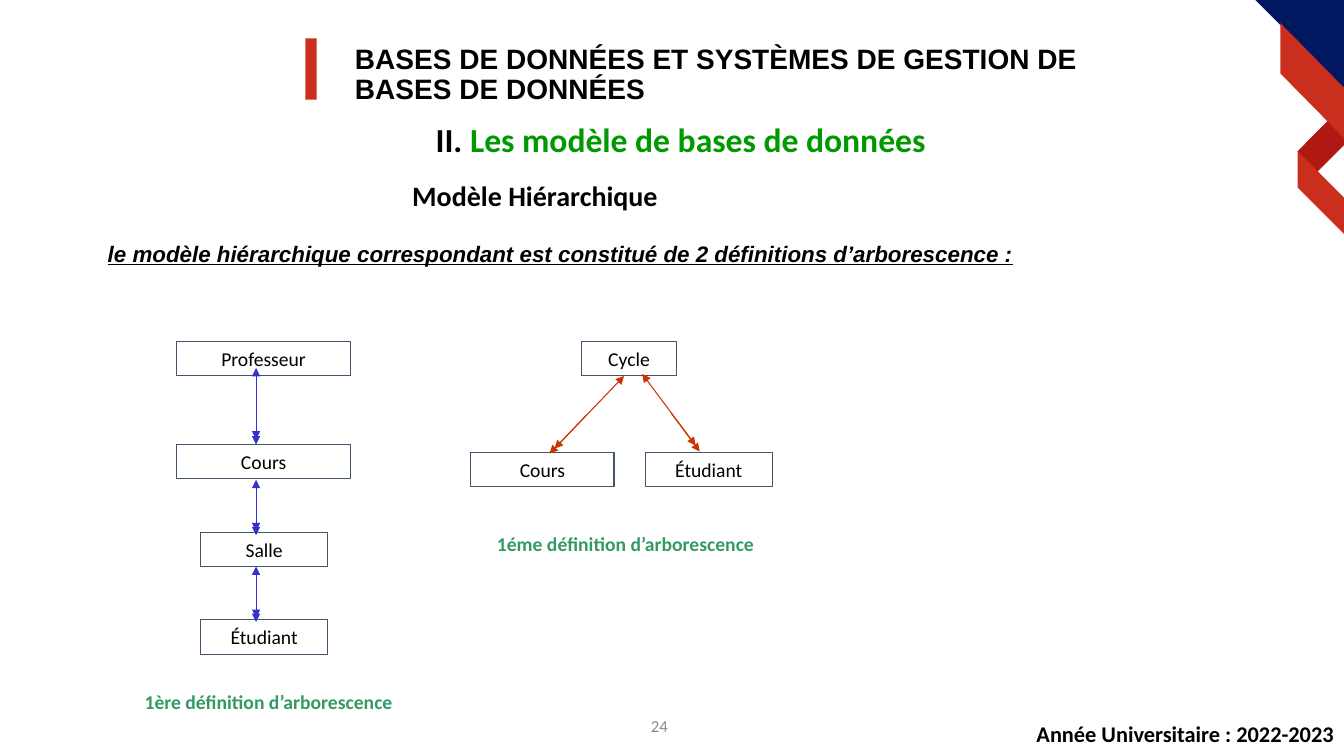
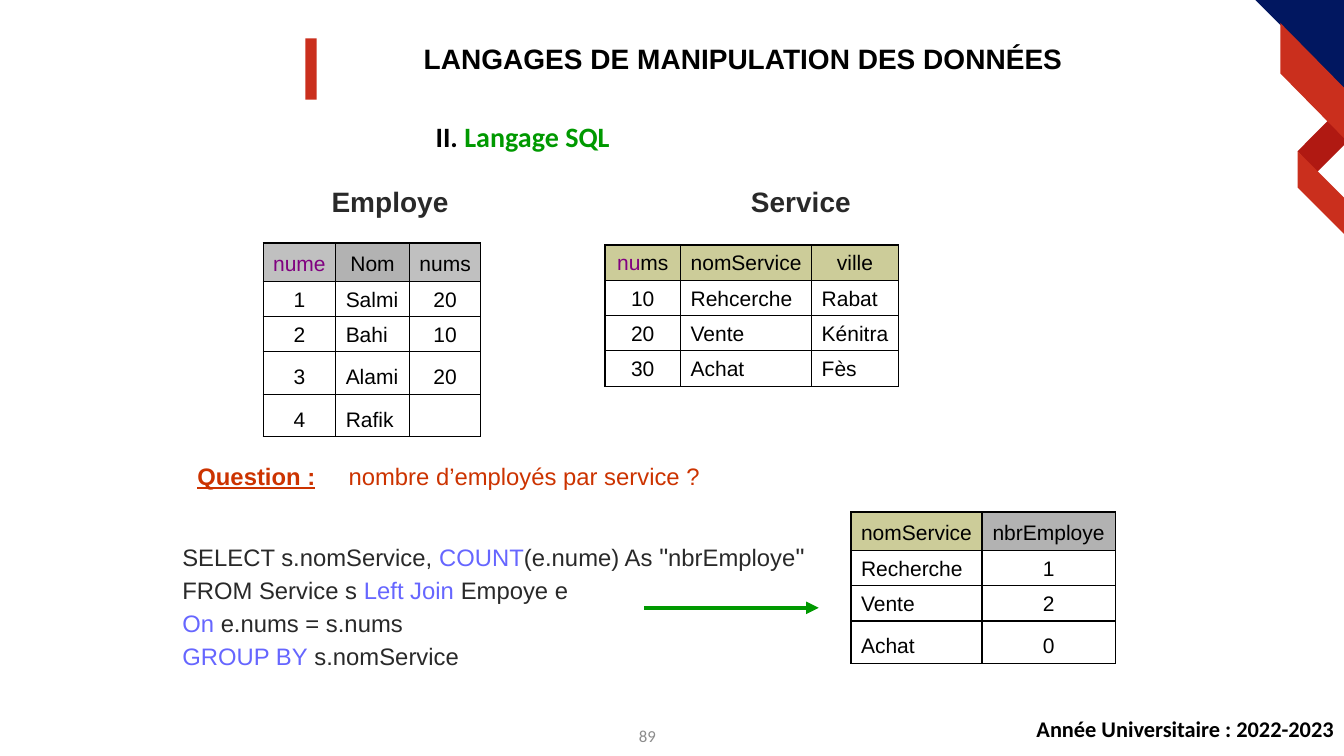
from pptx import Presentation
from pptx.dml.color import RGBColor
from pptx.enum.shapes import MSO_CONNECTOR, MSO_SHAPE
from pptx.enum.text import MSO_ANCHOR, MSO_AUTO_SIZE, PP_ALIGN
from pptx.oxml.ns import qn
from pptx.util import Inches, Pt
from lxml.etree import SubElement

BLACK = RGBColor(0x00, 0x00, 0x00)
INK = RGBColor(0x29, 0x29, 0x29)
GRAY = RGBColor(0x8C, 0x8C, 0x8C)
NAVY = RGBColor(0x01, 0x17, 0x60)
RED = RGBColor(0xCA, 0x2F, 0x1D)
DARK_RED = RGBColor(0xB0, 0x19, 0x12)
GREEN = RGBColor(0x00, 0x99, 0x00)
CAPTION_GREEN = RGBColor(0x33, 0x99, 0x66)
SLATE = RGBColor(0x44, 0x54, 0x6A)
BLUE = RGBColor(0x33, 0x33, 0xCC)
ORANGE = RGBColor(0xCC, 0x33, 0x00)
KEYWORD = RGBColor(0x66, 0x66, 0xFF)
PURPLE = RGBColor(0x80, 0x00, 0x80)
SILVER = RGBColor(0xC0, 0xC0, 0xC0)
STEEL = RGBColor(0xB2, 0xB2, 0xB2)
KHAKI = RGBColor(0xCC, 0xCC, 0x99)

LEFT, CENTER, RIGHT = PP_ALIGN.LEFT, PP_ALIGN.CENTER, PP_ALIGN.RIGHT
TOP, MIDDLE, BOTTOM = MSO_ANCHOR.TOP, MSO_ANCHOR.MIDDLE, MSO_ANCHOR.BOTTOM

RIBBONS = [
    (DARK_RED, [(13.19, 1.18), (13.33, 1.35), (13.33, 1.44), (13.05, 1.72), (12.87, 1.5)]),
    (NAVY, [(12.45, 0), (13.33, 0), (13.33, 0.88)]),
    (RED, [(12.87, 1.5), (13.33, 1.96), (13.33, 2.32), (12.87, 1.86)]),
    (RED, [(12.7, 0.23), (13.33, 0.87), (13.33, 1.37), (12.7, 0.73)]),
]
FOOTER = "Année Universitaire : 2022-2023"

MODEL = {
    "title": "BASES DE DONNÉES ET SYSTÈMES DE GESTION DE BASES DE DONNÉES",
    "title_align": LEFT,
    "section": "Les modèle de bases de données",
    "section_size": 24,
    "footer_top": 7.13,
    "page": "24",
    "page_at": (5.04, 7, 3, 0.4),
}
NODE_HEIGHT = 0.34
NODES = [
    ("Professeur", 1.75, 3.39, 1.73),
    ("Cours", 1.75, 4.41, 1.73),
    ("Salle", 1.99, 5.28, 1.26),
    ("Étudiant", 1.99, 6.15, 1.26),
    ("Cycle", 5.77, 3.39, 0.94),
    ("Cours", 4.67, 4.49, 1.42),
    ("Étudiant", 6.4, 4.49, 1.26),
]
LINKS = [
    (BLUE, (2.54, 3.65), (2.54, 4.36), (2.54, 4.41)),
    (BLUE, (2.54, 4.76), (2.54, 5.27), (2.54, 5.31)),
    (BLUE, (2.54, 5.62), (2.54, 6.13), (2.54, 6.17)),
    (ORANGE, (6.37, 3.71), (6.9, 4.42), (6.94, 4.48)),
    (ORANGE, (6.19, 3.73), (5.5, 4.45), (5.45, 4.5)),
]
CAPTIONS = [
    ("1ère définition d’arborescence", 1.05, 6.8),
    ("1éme définition d’arborescence", 4.59, 5.23),
]

SQL = {
    "title": "LANGAGES DE MANIPULATION DES DONNÉES",
    "title_align": CENTER,
    "section": "Langage SQL",
    "section_size": 20,
    "footer_top": 7.08,
    "page": "89",
    "page_at": (4.92, 7.1, 3, 0.4),
}
TABLE_NAMES = [("Employe", 3.19), ("Service", 7.35)]
TABLES = [
    {
        "at": (2.61, 2.41), "cols": [0.72, 0.73, 0.71],
        "heights": [0.38, 0.35, 0.35, 0.42, 0.42],
        "fills": [SILVER, STEEL, SILVER], "aligns": [CENTER, LEFT, CENTER],
        "rows": [
            [[("nume", {"color": PURPLE})], "Nom", "nums"],
            ["1", "Salmi", "20"],
            ["2", "Bahi", "10"],
            ["3", "Alami", "20"],
            ["4", "Rafik", ""],
        ],
    },
    {
        "at": (6, 2.43), "cols": [0.75, 1.3, 0.86],
        "heights": [0.35] * 4,
        "fills": [KHAKI] * 3, "aligns": [CENTER, LEFT, LEFT],
        "rows": [
            [[("nu", {"color": PURPLE}), ("ms", {})], "nomService", "ville"],
            ["10", "Rehcerche", "Rabat"],
            ["20", "Vente", "Kénitra"],
            ["30", "Achat", "Fès"],
        ],
    },
    {
        "at": (8.44, 5.08), "cols": [1.3, 1.32],
        "heights": [0.38, 0.35, 0.35, 0.42],
        "fills": [KHAKI, STEEL], "aligns": [LEFT, CENTER],
        "rows": [
            ["nomService", "nbrEmploye"],
            ["Recherche", "1"],
            ["Vente", "2"],
            ["Achat", "0"],
        ],
    },
]
QUESTION = [("Question :", {"bold": True, "underline": True}),
            ("\tnombre d’employés par service ?", {})]
KEY, QUOTE = {"color": KEYWORD}, {"size": 18}
QUERY = [
    [("SELECT s.nomService, ", {}), ("COUNT", KEY), ("(e.nume) As ", {}),
     ('"', QUOTE), ("nbrEmploye", {}), ('"', QUOTE)],
    [("FROM Service s ", {}), ("Left Join ", KEY), ("Empoye e", {})],
    [("On", KEY), (" e.nums = s.nums", {})],
    [("GROUP BY", KEY), (" s.nomService", {})],
]


def write(tf, paragraphs, align=LEFT, anchor=TOP, line=None, before=0, tab=None, **look):
    tf.word_wrap = True
    tf.vertical_anchor = anchor
    for i, runs in enumerate(paragraphs):
        p = tf.paragraphs[0] if i == 0 else tf.add_paragraph()
        pPr = p._p.get_or_add_pPr()
        pPr.set("marL", "0")
        pPr.set("indent", "0")
        SubElement(pPr, qn("a:buNone"))
        if tab:
            tabs = SubElement(pPr, qn("a:tabLst"))
            SubElement(tabs, qn("a:tab"), pos=str(Inches(tab)), algn="l")
        p.alignment = align
        p.space_before = Pt(before if i else 0)
        if line:
            p.line_spacing = line
        for text, change in [(runs, {})] if isinstance(runs, str) else runs:
            style = {"font": "Calibri", "size": 16, "color": BLACK, **look, **change}
            r = p.add_run()
            r.text = text
            r.font.name = style["font"]
            r.font.size = Pt(style["size"])
            r.font.color.rgb = style["color"]
            r.font.bold = style.get("bold", False)
            r.font.italic = style.get("italic", False)
            r.font.underline = style.get("underline", False)


def add_text(s, at, paragraphs, **look):
    box = s.shapes.add_textbox(*map(Inches, at))
    write(box.text_frame, paragraphs, **look)


def fill_placeholder(sp, at, paragraphs, **look):
    sp.left, sp.top, sp.width, sp.height = map(Inches, at)
    write(sp.text_frame, paragraphs, **look)
    sp.text_frame.auto_size = MSO_AUTO_SIZE.NONE


def paint(sp, color):
    sp.shadow.inherit = False
    sp.fill.solid()
    sp.fill.fore_color.rgb = color
    sp.line.fill.background()


def add_arrow(s, start, end, color, width, double=False):
    arrow = s.shapes.add_connector(MSO_CONNECTOR.STRAIGHT, *map(Inches, (*start, *end)))
    arrow.line.color.rgb = color
    arrow.line.width = Pt(width)
    ln = arrow.line._get_or_add_ln()
    for tag in ["a:headEnd", "a:tailEnd"] if double else ["a:tailEnd"]:
        SubElement(ln, qn(tag), type="triangle")
    SubElement(arrow._element.spPr, qn("a:effectLst"))


def border_cell(cell):
    tcPr = cell._tc.get_or_add_tcPr()
    for i, side in enumerate(["a:lnL", "a:lnR", "a:lnT", "a:lnB"]):
        ln = tcPr.makeelement(qn(side), {"w": str(Pt(1))})
        SubElement(SubElement(ln, qn("a:solidFill")), qn("a:srgbClr"), val=str(BLACK))
        tcPr.insert(i, ln)


def add_grid(s, spec):
    rows, cols, heights = spec["rows"], spec["cols"], spec["heights"]
    size = (sum(cols), sum(heights))
    table = s.shapes.add_table(len(rows), len(cols), *map(Inches, (*spec["at"], *size))).table
    table.first_row = table.horz_banding = False
    for column, width in zip(table.columns, cols):
        column.width = Inches(width)
    for i, row in enumerate(rows):
        table.rows[i].height = Inches(heights[i])
        for j, content in enumerate(row):
            cell = table.cell(i, j)
            align = spec["aligns"][j] if i else CENTER
            cell.vertical_anchor = BOTTOM
            cell.margin_left = Inches(0.1 if align == LEFT else 0.03)
            cell.margin_right = Inches(0.03)
            if i == 0:
                cell.fill.solid()
                cell.fill.fore_color.rgb = spec["fills"][j]
            else:
                cell.fill.background()
            border_cell(cell)
            if content:
                write(cell.text_frame, [content], anchor=BOTTOM, font="Arial", size=15,
                      align=align)


def add_base(prs, info):
    s = prs.slides.add_slide(prs.slide_layouts[1])
    for color, points in RIBBONS:
        first, *rest = [tuple(map(Inches, point)) for point in points]
        builder = s.shapes.build_freeform(*first)
        builder.add_line_segments(rest, close=True)
        paint(builder.convert_to_shape(), color)
    bar = s.shapes.add_shape(MSO_SHAPE.RECTANGLE, *map(Inches, (3.03, 0.38, 0.11, 0.61)))
    paint(bar, RED)
    fill_placeholder(s.shapes.title, (3.42, 0.4, 7.9, 0.65), [info["title"]], font="Arial",
                     size=20, bold=True, line=0.9, align=info["title_align"])
    fill_placeholder(s.placeholders[1], (4.22, 1.17, 6, 0.5),
                     [[("II. ", {}), (info["section"], {"color": GREEN})]],
                     size=info["section_size"], bold=True, line=0.9)
    add_text(s, (9.33, info["footer_top"], 4, 0.35), [FOOTER], bold=True, line=0.9, align=RIGHT)
    add_text(s, info["page_at"], [info["page"]], size=12, color=GRAY, align=CENTER, anchor=MIDDLE)
    return s


def build_model(prs):
    s = add_base(prs, MODEL)
    add_text(s, (3.99, 1.72, 2.66, 0.44), ["Modèle Hiérarchique"], size=20, bold=True)
    add_text(s, (0.97, 2.33, 9.29, 0.4),
             ["le modèle hiérarchique correspondant est constitué de 2 définitions d’arborescence :"],
             font="Arial", bold=True, italic=True, underline=True)
    for name, left, top, width in NODES:
        node = s.shapes.add_shape(MSO_SHAPE.RECTANGLE,
                                  *map(Inches, (left, top, width, NODE_HEIGHT)))
        node.shadow.inherit = False
        node.fill.background()
        node.line.color.rgb = SLATE
        node.line.width = Pt(0.75)
        write(node.text_frame, [name], size=14, align=CENTER, anchor=MIDDLE)
    for color, start, end, tip in LINKS:
        middle = tuple((a + b) / 2 for a, b in zip(start, tip))
        add_arrow(s, start, end, color, 0.75, double=True)
        add_arrow(s, middle, tip, color, 0.75)
    for caption, left, top in CAPTIONS:
        add_text(s, (left, top, 3.23, 0.33), [caption], size=14, bold=True,
                 color=CAPTION_GREEN, align=CENTER)


def build_sql(prs):
    s = add_base(prs, SQL)
    for name, left in TABLE_NAMES:
        add_text(s, (left, 1.78, 2, 0.45), [name], font="Arial", size=20, bold=True, color=INK)
    for spec in TABLES:
        add_grid(s, spec)
    add_text(s, (1.86, 4.53, 9.53, 0.55), [QUESTION], font="Arial", size=17, color=ORANGE, tab=1.23)
    add_text(s, (1.71, 5.32, 6.49, 1.65), QUERY, font="Arial", size=17, color=INK, before=3.2)
    add_arrow(s, (6.39, 6.03), (8.12, 6.03), GREEN, 3)


def main():
    prs = Presentation()
    prs.slide_width, prs.slide_height = Inches(13.33), Inches(7.5)
    build_model(prs)
    build_sql(prs)
    prs.save("out.pptx")


if __name__ == "__main__":
    main()
